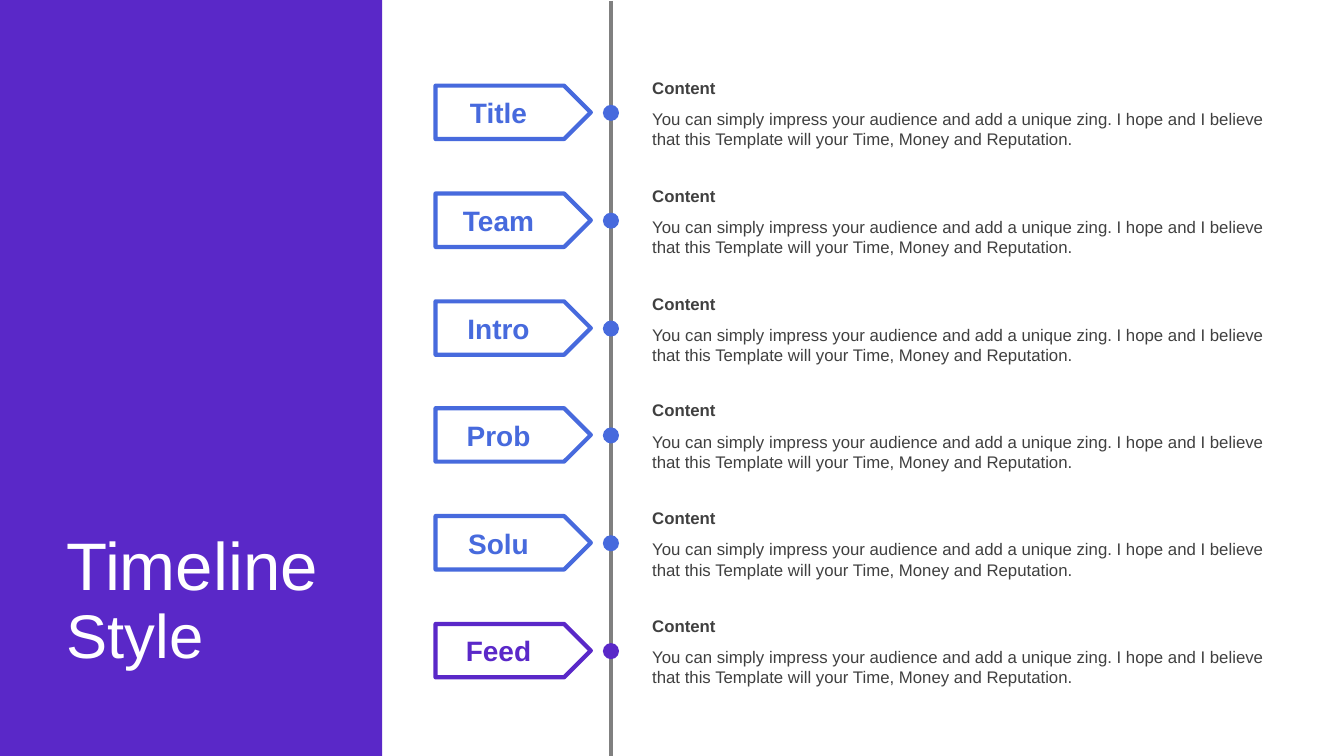
"""Build a vertical timeline slide with six labelled steps."""
from pptx import Presentation
from pptx.dml.color import RGBColor
from pptx.enum.shapes import MSO_CONNECTOR, MSO_SHAPE
from pptx.enum.text import MSO_ANCHOR, MSO_AUTO_SIZE, PP_ALIGN
from pptx.oxml.ns import qn
from pptx.util import Pt
from lxml.etree import SubElement

PX = 9144
PURPLE, BLUE, WHITE, DARK, GREY = "5A28C8", "476ADD", "FFFFFF", "404040", "808080"
PITCH = 106.8
STEPS = [("Title", BLUE), ("Team", BLUE), ("Intro", BLUE),
         ("Prob", BLUE), ("Solu", BLUE), ("Feed", PURPLE)]
BODY = ("You can simply impress your audience and add a unique zing. I hope and I believe "
        "that this Template will your Time, Money and Reputation.")


def add_shape(s, kind, box, fill, line=None):
    sp = s.shapes.add_shape(kind, *[v * PX for v in box])
    sp.shadow.inherit = False
    sp.fill.solid()
    sp.fill.fore_color.rgb = RGBColor.from_string(fill)
    if line:
        sp.line.color.rgb = RGBColor.from_string(line)
        sp.line.width = Pt(3)
    else:
        sp.line.fill.background()
    return sp


def add_text(parent, box, text, size, color, bold=False,
             align=PP_ALIGN.LEFT, anchor=MSO_ANCHOR.TOP):
    tf = parent.shapes.add_textbox(*[v * PX for v in box]).text_frame
    tf.word_wrap = True
    tf.auto_size = MSO_AUTO_SIZE.SHAPE_TO_FIT_TEXT
    tf.vertical_anchor = anchor
    p = tf.paragraphs[0]
    p.text = text
    p.alignment = align
    p.font.name, p.font.size, p.font.bold = "Arial", Pt(size), bold
    p.font.color.rgb = RGBColor.from_string(color)


prs = Presentation()
prs.slide_width, prs.slide_height = 1333 * PX, 750 * PX
s = prs.slides.add_slide(prs.slide_layouts[5])

panel = add_shape(s, MSO_SHAPE.RECTANGLE, (0, 0, 379, 750), PURPLE)

title = s.shapes.title
panel.element.addnext(title.element)
title.left, title.top, title.width, title.height = 56 * PX, 499 * PX, 335 * PX, 196 * PX
tf = title.text_frame
tf.word_wrap = True
tf.auto_size = MSO_AUTO_SIZE.NONE
tf.vertical_anchor = MSO_ANCHOR.MIDDLE
p = tf.paragraphs[0]
p.alignment = PP_ALIGN.LEFT
p.line_spacing = 0.9
p.font.name = "Arial"
p.font.color.rgb = RGBColor.from_string(WHITE)
for text, size in (("Timeline", 48), (" Style", 44)):
    r = p.add_run()
    r.text = text
    r.font.size = Pt(size)

axis = s.shapes.add_connector(MSO_CONNECTOR.STRAIGHT, 606 * PX, PX, 606 * PX, 750 * PX)
axis.line.color.rgb = RGBColor.from_string(GREY)
axis.line.width = Pt(3)
SubElement(axis.element.spPr, qn("a:effectLst"))

for i, (label, color) in enumerate(STEPS):
    y = 85 + round(i * PITCH)
    add_shape(s, MSO_SHAPE.OVAL, (598, y + 19, 16, 16), color)
    add_shape(s, MSO_SHAPE.PENTAGON, (432, y, 154, 53), WHITE, color)
    add_text(s, (448, y + 5, 93, 44), label, 20, color, True, PP_ALIGN.CENTER)
    group = s.shapes.add_group_shape()
    add_text(group, (637, y - 13, 632, 30), "Content", 12, DARK, True, anchor=MSO_ANCHOR.MIDDLE)
    add_text(group, (637, y + 18, 632, 50), BODY, 12, DARK)

prs.save("out.pptx")
